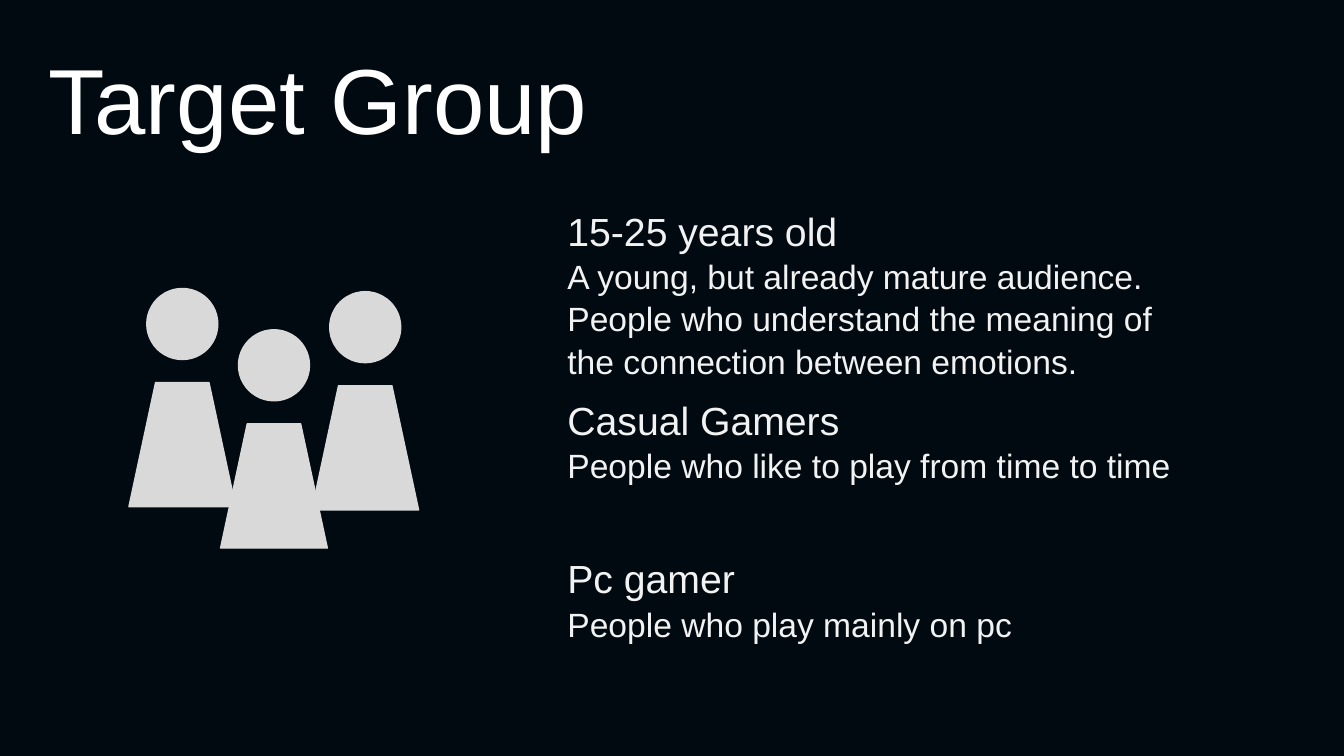
"""Build the Target Group slide with a people icon and three audience notes."""
from pptx import Presentation
from pptx.dml.color import RGBColor
from pptx.enum.shapes import MSO_SHAPE
from pptx.enum.text import MSO_ANCHOR
from pptx.util import Cm, Pt

BODY = MSO_SHAPE.TRAPEZOID
HEAD = MSO_SHAPE.FLOWCHART_CONNECTOR
MIDDLE = MSO_ANCHOR.MIDDLE
COLORS = {"back": "000A10", "title": "FFFFFF", "text": "F2F2F2", "icon": "D9D9D9"}


def add_text(left, top, width, height, lines, color, space):
    box = slide.shapes.add_textbox(Cm(left), Cm(top), Cm(width), Cm(height))
    frame = box.text_frame
    frame.word_wrap = True
    for i, (text, size) in enumerate(lines):
        para = frame.paragraphs[0] if i == 0 else frame.add_paragraph()
        para.line_spacing = space
        run = para.add_run()
        run.text = text
        run.font.name = "Arial"
        run.font.size = Pt(size)
        run.font.color.rgb = RGBColor.from_string(COLORS[color])
    return frame


deck = Presentation()
deck.slide_width, deck.slide_height = Cm(33.87), Cm(19.05)
slide = deck.slides.add_slide(deck.slide_layouts[6])
slide.background.fill.solid()
slide.background.fill.fore_color.rgb = RGBColor.from_string(COLORS["back"])

title = add_text(0.97, -0.69, 26.37, 6.63, [("Target Group", 66)], "title", 0.9)
title.vertical_anchor = MIDDLE

people = slide.shapes.add_group_shape()
gray = RGBColor.from_string(COLORS["icon"])
for left, top in [(3.25, 7.27), (5.56, 8.31), (7.86, 7.35)]:
    for kind, dx, dy, width, height in [
        (BODY, 0, 2.37, 2.69, 3.13),
        (HEAD, 0.45, 0, 1.79, 1.79),
    ]:
        part = people.shapes.add_shape(
            kind, Cm(left + dx), Cm(top + dy), Cm(width), Cm(height))
        part.shadow.inherit = False
        part.fill.solid()
        part.fill.fore_color.rgb = gray
        part.line.color.rgb = gray
        part.line.width = Pt(1)

notes = [
    (5.03, 16.1, 3.51, "15-25 years old",
     "A young, but already mature audience. People who understand "
     "the meaning of the connection between emotions."),
    (9.8, 15.75, 2.49, "Casual Gamers", "People who like to play from time to time"),
    (13.79, 15.75, 2.49, "Pc gamer", "People who play mainly on pc"),
]
for top, width, height, name, detail in notes:
    add_text(14.05, top, width, height, [(name, 28), (detail, 24)], "text", 1.05)

deck.save("out.pptx")
